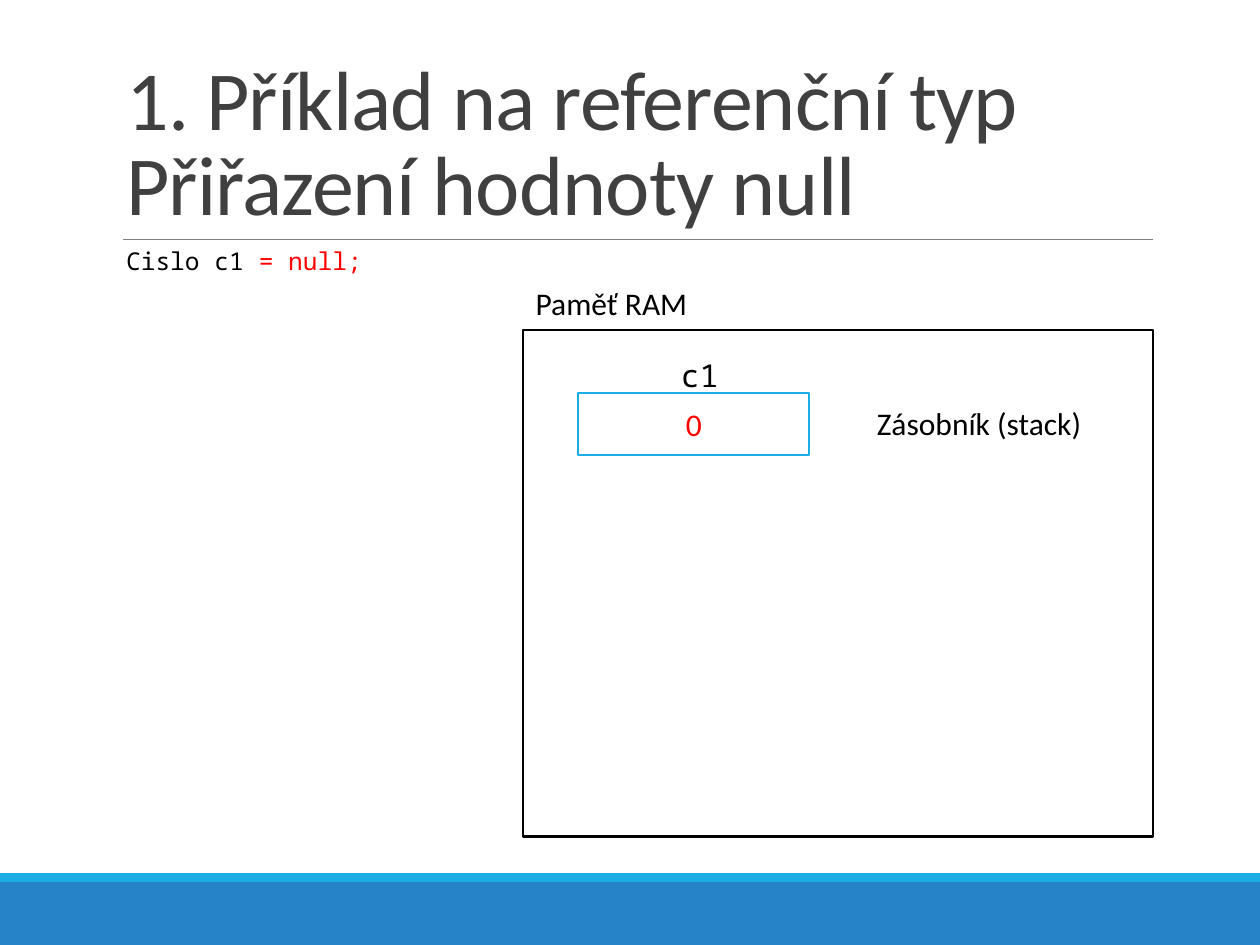
import pptx
import pptx.dml.color
import pptx.enum.shapes
import pptx.enum.text
import pptx.oxml.ns
import pptx.util
import lxml.etree

Pt = pptx.util.Pt
ALIGN = pptx.enum.text.PP_ALIGN
ANCHOR = pptx.enum.text.MSO_ANCHOR
BLACK, WHITE, RED = "000000", "FFFFFF", "FF0000"
GREY, DARK = "808080", "404040"
BLUE, CYAN = "2683C6", "1CADE4"
MONO = "Noto Sans Mono"


def color(value):
    return pptx.dml.color.RGBColor.from_string(value)


class SlideBuilder:
    font = "Calibri"
    size = 18
    outline = 1.25

    def __init__(self, page):
        self.page = page

    def add_run(self, para, text, ink=BLACK, size=None, font=None):
        span = para.add_run()
        span.text = text
        span.font.name = font or self.font
        span.font.size = Pt(size or self.size)
        span.font.color.rgb = color(ink)
        return span

    def title(self, lines, left, top, width, height):
        box = self.page.shapes.title
        box.left, box.top, box.width, box.height = map(Pt, (left, top, width, height))
        frame = box.text_frame
        frame.word_wrap = True
        frame.auto_size = pptx.enum.text.MSO_AUTO_SIZE.NONE
        frame.vertical_anchor = ANCHOR.BOTTOM
        para = frame.paragraphs[0]
        para.alignment = ALIGN.LEFT
        para.line_spacing = 0.85
        for index, line in enumerate(lines):
            if index:
                para.add_line_break()
            span = self.add_run(para, line, DARK, 48)
            span.font._element.set("spc", "-50")

    def text(self, runs, left, top, width, height, size=None, font=None):
        box = self.page.shapes.add_textbox(*map(Pt, (left, top, width, height)))
        box.text_frame.word_wrap = True
        para = box.text_frame.paragraphs[0]
        for words, ink in runs:
            self.add_run(para, words, ink, size, font)

    def rectangle(self, left, top, width, height, fill, line=None, label=None, ink=BLACK):
        shape = self.page.shapes.add_shape(
            pptx.enum.shapes.MSO_SHAPE.RECTANGLE, *map(Pt, (left, top, width, height)))
        shape.shadow.inherit = False
        shape.fill.solid()
        shape.fill.fore_color.rgb = color(fill)
        if line:
            shape.line.color.rgb = color(line)
            shape.line.width = Pt(self.outline)
        else:
            shape.line.fill.background()
        if label:
            shape.text_frame.vertical_anchor = ANCHOR.MIDDLE
            para = shape.text_frame.paragraphs[0]
            para.alignment = ALIGN.CENTER
            self.add_run(para, label, ink)

    def rule(self, left, right, top, ink, width):
        line = self.page.shapes.add_connector(
            pptx.enum.shapes.MSO_CONNECTOR.STRAIGHT, *map(Pt, (left, top, right, top)))
        line.line.color.rgb = color(ink)
        line.line.width = Pt(width)
        lxml.etree.SubElement(line._element.spPr, pptx.oxml.ns.qn("a:effectLst"))


deck = pptx.Presentation()
deck.slide_width, deck.slide_height = Pt(720), Pt(540)
slide = SlideBuilder(deck.slides.add_slide(deck.slide_layouts[5]))

# Footer bands and title rule
slide.rectangle(0, 504, 720, 36, BLUE)
slide.rectangle(0, 499, 720, 5, CYAN)
slide.rule(70.5, 659, 136.8, GREY, 0.5)

# Title and code
slide.title(["1. Příklad na referenční typ", "Přiřazení hodnoty null"],
            65, 22.3, 594, 114.5)
slide.text([("Cislo c1 ", BLACK), ("= null;", RED)], 65, 136.8, 225, 41, 14, MONO)

# Memory diagram
slide.rectangle(299, 188.5, 360, 289.5, WHITE, BLACK)
slide.text([("Paměť RAM", BLACK)], 299, 158.5, 134, 29)
slide.rectangle(330.5, 224.5, 132, 35.5, WHITE, CYAN, "0", RED)
slide.text([("c1", BLACK)], 382, 200, 39, 29, font=MONO)
slide.text([("Zásobník (stack)", BLACK)], 494, 227.5, 151, 29)

deck.save("out.pptx")
